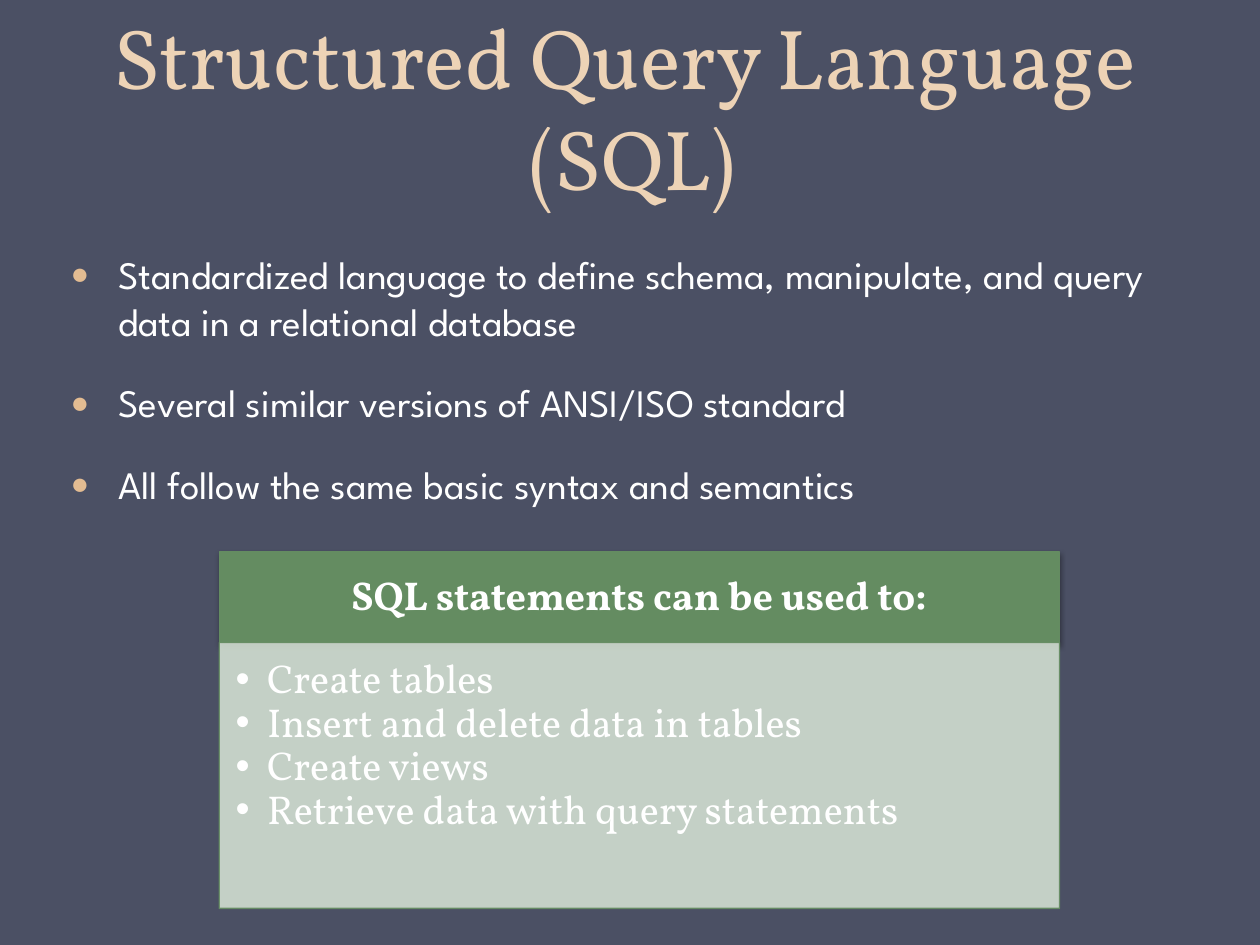
from lxml import etree
from pptx import Presentation
from pptx.dml.color import RGBColor
from pptx.enum.shapes import MSO_SHAPE
from pptx.enum.text import MSO_ANCHOR, MSO_AUTO_SIZE, PP_ALIGN
from pptx.oxml.ns import qn
from pptx.util import Inches, Pt

TITLE = ["Structured Query Language ", "(SQL)"]
POINTS = [
    "Standardized language to define schema, manipulate, and query data in a relational database",
    "Several similar versions of ANSI/ISO standard",
    "All follow the same basic syntax and semantics",
]
CARD_HEAD = "SQL statements can be used to:"
CARD_ITEMS = [
    "Create tables",
    "Insert and delete data in tables",
    "Create views",
    "Retrieve data with query statements",
]

THEME = dict(
    bg="4B5064", title="EDD3B6", text="FFFFFF", bullet="E3BC92",
    green="648C61", pale="D2DFD1",
    serif="Vollkorn", sans="League Spartan",
    title_size=48.6, body_size=22.2, card_size=23,
)
CARD_LEFT, CARD_TOP, CARD_WIDTH = 1.74, 4.38, 6.67
HEAD_HEIGHT, PANEL_HEIGHT = 0.72, 2.11


def rgb(name):
    return RGBColor.from_string(THEME[name])


def add_run(p, text, font, size, color="text", bold=False):
    r = p.add_run()
    r.text = text
    r.font.name, r.font.size, r.font.bold = THEME[font], Pt(THEME[size]), bold
    r.font.color.rgb = rgb(color)


def sub(parent, tag, **attrs):
    return etree.SubElement(parent, qn(tag), attrs)


def add_alpha(fill, percent):
    sub(fill.fore_color._xFill.find(qn("a:srgbClr")), "a:alpha", val=str(percent * 1000))


def place(sp, left, top, width, height):
    sp.left, sp.top = Inches(left), Inches(top)
    sp.width, sp.height = Inches(width), Inches(height)


def setup_frame(tf, anchor, insets=(0.1, 0.05, 0.1, 0.05)):
    tf.word_wrap, tf.auto_size, tf.vertical_anchor = True, MSO_AUTO_SIZE.NONE, anchor
    tf.margin_left, tf.margin_top, tf.margin_right, tf.margin_bottom = map(Inches, insets)


def fill_list(tf, items, font, size, char, color, scale, indent, before=0, spacing=1.0):
    for i, text in enumerate(items):
        p = tf.paragraphs[0] if i == 0 else tf.add_paragraph()
        p.alignment = PP_ALIGN.LEFT
        p.line_spacing, p.space_before, p.space_after = spacing, Pt(before), Pt(0)
        pPr = p._p.get_or_add_pPr()
        pPr.set("marL", str(Inches(indent)))
        pPr.set("indent", str(-Inches(indent)))
        sub(sub(pPr, "a:buClr"), "a:srgbClr", val=THEME[color])
        sub(pPr, "a:buSzPct", val=str(scale * 1000))
        sub(pPr, "a:buFont", typeface="Arial")
        sub(pPr, "a:buChar", char=char)
        add_run(p, text, font, size)


def add_box(group, top, height, fill):
    sp = group.shapes.add_shape(MSO_SHAPE.RECTANGLE, Inches(CARD_LEFT), Inches(top),
                                Inches(CARD_WIDTH), Inches(height))
    sp.shadow.inherit = False
    sp.fill.solid()
    sp.fill.fore_color.rgb = rgb(fill)
    sp.line.color.rgb = rgb("green")
    sp.line.width = Pt(0.75)
    return sp


def add_shadow(sp):
    effects = sp._element.spPr.find(qn("a:effectLst"))
    shadow = sub(effects, "a:outerShdw", blurRad=str(Pt(3.1)), dist=str(Pt(1.8)),
                 dir="5400000", rotWithShape="0")
    sub(sub(shadow, "a:srgbClr", val="000000"), "a:alpha", val="35000")


def main():
    prs = Presentation()
    prs.slide_width, prs.slide_height = Inches(10), Inches(7.5)
    s = prs.slides.add_slide(prs.slide_layouts[1])
    s.background.fill.solid()
    s.background.fill.fore_color.rgb = rgb("bg")

    title, body = s.placeholders
    place(title, 0.02, 0.44, 10, 1.26)
    setup_frame(title.text_frame, MSO_ANCHOR.BOTTOM)
    p = title.text_frame.paragraphs[0]
    p.alignment, p.line_spacing = PP_ALIGN.CENTER, Pt(58)
    for i, line in enumerate(TITLE):
        if i:
            p.add_line_break()
        add_run(p, line, "serif", "title_size", "title")

    place(body, 0.46, 1.94, 9.08, 2.42)
    setup_frame(body.text_frame, MSO_ANCHOR.TOP)
    fill_list(body.text_frame, POINTS, "sans", "body_size", "●", "bullet", 80, 0.38, before=20)

    card = s.shapes.add_group_shape()
    head = add_box(card, CARD_TOP, HEAD_HEIGHT, "green")
    add_shadow(head)
    setup_frame(head.text_frame, MSO_ANCHOR.MIDDLE, (0.18, 0.1, 0.18, 0.1))
    p = head.text_frame.paragraphs[0]
    p.alignment, p.line_spacing = PP_ALIGN.CENTER, 0.9
    add_run(p, CARD_HEAD, "serif", "card_size", bold=True)

    panel = add_box(card, CARD_TOP + HEAD_HEIGHT, PANEL_HEIGHT, "pale")
    add_alpha(panel.fill, 90)
    add_alpha(panel.line.fill, 90)
    setup_frame(panel.text_frame, MSO_ANCHOR.TOP, (0.13, 0.13, 0.18, 0.2))
    fill_list(panel.text_frame, CARD_ITEMS, "serif", "card_size", "•", "text", 100, 0.25, spacing=0.9)

    prs.save("out.pptx")


if __name__ == "__main__":
    main()
